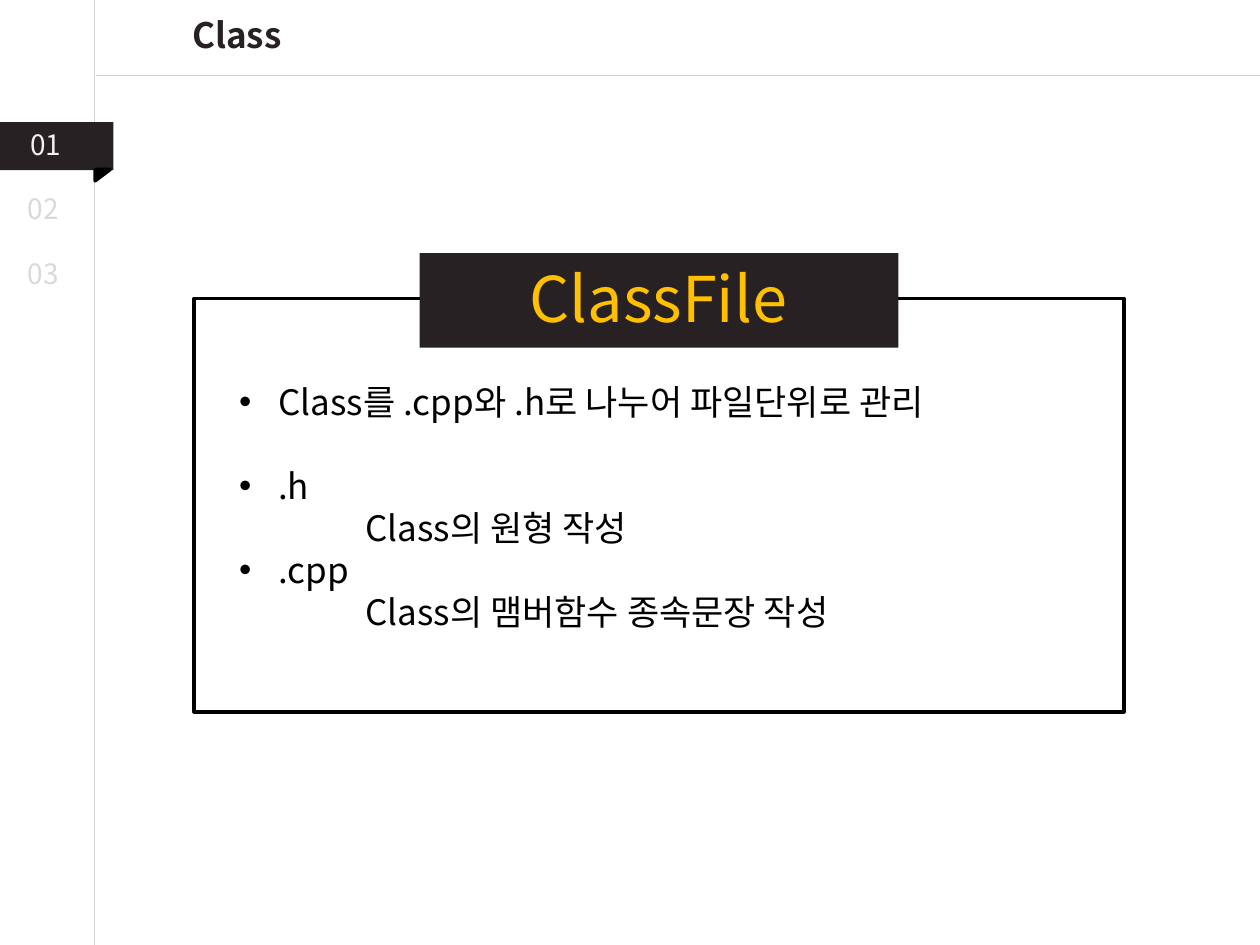
from dataclasses import dataclass
from typing import Optional

from lxml import etree
from pptx import Presentation
from pptx.dml.color import RGBColor
from pptx.enum import shapes, text
from pptx.oxml import ns
from pptx.util import Inches, Pt

FONT = "Noto Sans CJK KR"
BLACK = RGBColor(0x00, 0x00, 0x00)
INK = RGBColor(0x27, 0x21, 0x23)
GOLD = RGBColor(0xFF, 0xC0, 0x00)
PALE = RGBColor(0xF2, 0xF2, 0xF2)
GREY = RGBColor(0xD9, 0xD9, 0xD9)
RULE = RGBColor(0xD2, 0xD2, 0xD2)
LEAD = 1.2  # line pitch as a share of the text size


@dataclass
class Box:
    left: float
    top: float
    width: float
    height: float

    def place(self) -> list:
        return [Inches(v) for v in (self.left, self.top, self.width, self.height)]


@dataclass
class Line:
    words: str
    size: int = 20
    color: RGBColor = BLACK
    bold: bool = False
    center: bool = False
    bullet: bool = False
    indent: float = 0
    before: float = 0


def add_rule(slide, x1: float, y1: float, x2: float, y2: float) -> None:
    rule = slide.shapes.add_connector(
        shapes.MSO_CONNECTOR.STRAIGHT, *[Inches(v) for v in (x1, y1, x2, y2)])
    rule.line.color.rgb = RULE
    rule.line.width = Pt(0.75)
    etree.SubElement(rule._element.spPr, ns.qn("a:effectLst"))


def add_block(slide, box: Box, fill: Optional[RGBColor] = None,
              edge: Optional[RGBColor] = None,
              kind=shapes.MSO_SHAPE.RECTANGLE, turn: float = 0) -> None:
    block = slide.shapes.add_shape(kind, *box.place())
    block.shadow.inherit = False
    block.rotation = turn
    if fill is None:
        block.fill.background()
    else:
        block.fill.solid()
        block.fill.fore_color.rgb = fill
    if edge is None:
        block.line.fill.background()
    else:
        block.line.color.rgb = edge
        block.line.width = Pt(2)


def add_text(slide, box: Box, lines: list[Line]) -> None:
    frame = slide.shapes.add_textbox(*box.place()).text_frame
    frame.word_wrap = True
    for i, line in enumerate(lines):
        para = frame.paragraphs[0] if i == 0 else frame.add_paragraph()
        para.alignment = text.PP_ALIGN.CENTER if line.center else text.PP_ALIGN.LEFT
        para.line_spacing = Pt(line.size * LEAD)
        para.space_before = Pt(line.before)
        props = para._p.get_or_add_pPr()
        props.set("marL", str(Inches(line.indent)))
        if line.bullet:
            props.set("indent", str(-Inches(line.indent)))
            etree.SubElement(props, ns.qn("a:buFont"), typeface="Arial")
            etree.SubElement(props, ns.qn("a:buChar"), char="•")
        run = para.add_run()
        run.text = line.words
        font = run.font
        font.name, font.size, font.bold = FONT, Pt(line.size), line.bold
        font.color.rgb = line.color
        etree.SubElement(run._r.get_or_add_rPr(), ns.qn("a:ea"), typeface=FONT)


def main() -> None:
    deck = Presentation()
    deck.slide_width, deck.slide_height = Inches(10), Inches(7.5)
    slide = deck.slides.add_slide(deck.slide_layouts[6])

    # Page rules
    add_rule(slide, 0.75, 0, 0.75, 7.5)
    add_rule(slide, 0.76, 0.6, 10, 0.6)

    # Side index with the current section on a ribbon
    add_block(slide, Box(0, 0.97, 0.9, 0.38), INK)
    add_block(slide, Box(0.77, 1.33, 0.09, 0.12), BLACK, BLACK,
              shapes.MSO_SHAPE.RIGHT_TRIANGLE, 90)
    add_text(slide, Box(0.14, 0.96, 0.59, 0.37), [Line("01", 16, PALE)])
    for i, mark in enumerate(("02", "03")):
        add_text(slide, Box(0.12, 1.47 + 0.52 * i, 0.49, 0.37),
                 [Line(mark, 16, GREY)])

    # Framed panel with its heading
    add_block(slide, Box(1.54, 2.37, 7.38, 3.28), edge=BLACK)
    add_block(slide, Box(3.33, 2.01, 3.8, 0.75), INK)
    add_text(slide, Box(2.99, 2.01, 4.47, 0.71),
             [Line("ClassFile", 36, GOLD, center=True)])

    # Panel body
    add_text(slide, Box(1.8, 2.97, 7.06, 2.12), [
        Line("Class를 .cpp와 .h로 나누어 파일단위로 관리", bullet=True, indent=0.31),
        Line(".h", bullet=True, indent=0.31, before=20 * LEAD),
        Line("Class의 원형 작성", indent=1),
        Line(".cpp", bullet=True, indent=0.31),
        Line("Class의 맴버함수 종속문장 작성", indent=1),
    ])

    # Slide title
    add_text(slide, Box(0.81, 0.06, 2.14, 0.44),
             [Line("Class", 20, INK, bold=True, center=True)])

    deck.save("out.pptx")


if __name__ == "__main__":
    main()
